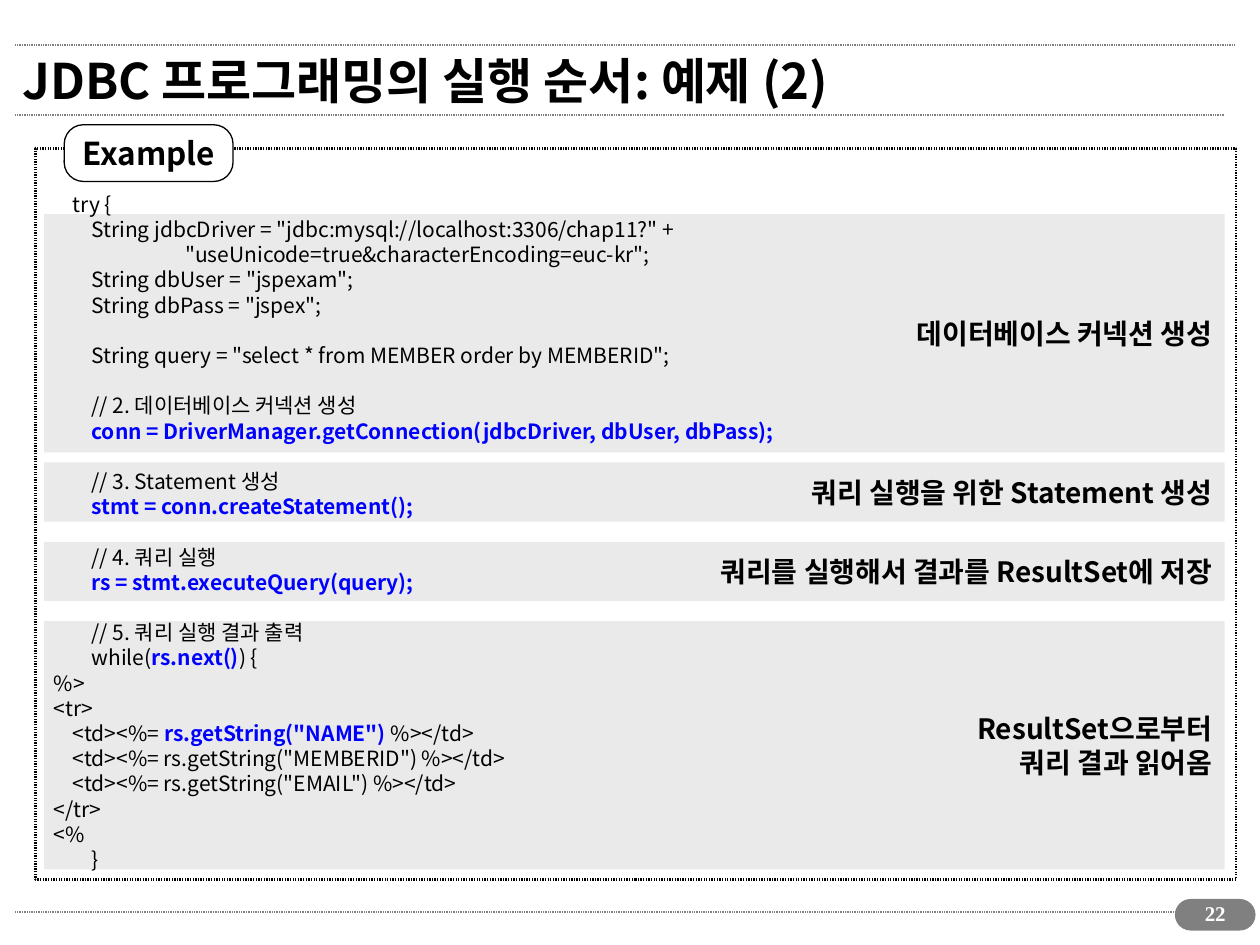
from dataclasses import dataclass

from lxml import etree
from pptx import Presentation
from pptx.dml.color import RGBColor
from pptx.enum.shapes import MSO_CONNECTOR, MSO_SHAPE
from pptx.enum.text import MSO_ANCHOR, PP_ALIGN
from pptx.oxml.ns import qn
from pptx.util import Inches, Pt

STRAIGHT = MSO_CONNECTOR.STRAIGHT
RECTANGLE, ROUNDED = MSO_SHAPE.RECTANGLE, MSO_SHAPE.ROUNDED_RECTANGLE
TOP, MIDDLE = MSO_ANCHOR.TOP, MSO_ANCHOR.MIDDLE
LEFT, CENTER, RIGHT = PP_ALIGN.LEFT, PP_ALIGN.CENTER, PP_ALIGN.RIGHT

COLORS = {"text": "000000", "code": "0000FF", "band": "EAEAEA",
          "rule": "808080", "paper": "FFFFFF"}
SANS, SERIF = "Noto Sans CJK KR", "Times New Roman"
COLUMNS, ROWS, CELL = 100, 75, 0.1  # grid of 0.1 inch cells

# Bands behind the code: first row and height within the frame, and label
BANDS = [
    (5.2, 18.9, "데이터베이스 커넥션 생성"),
    (24.9, 4.7, "쿼리 실행을 위한 Statement 생성"),
    (31.2, 4.7, "쿼리를 실행해서 결과를 ResultSet에 저장"),
    (37.5, 19.7, "ResultSet으로부터\n쿼리 결과 읽어옴"),
]

# Key calls stand between « and »
CODE = """\
    try {
        String jdbcDriver = "jdbc:mysql://localhost:3306/chap11?" +
                            "useUnicode=true&characterEncoding=euc-kr";
        String dbUser = "jspexam";
        String dbPass = "jspex";
        
        String query = "select * from MEMBER order by MEMBERID";
        
        // 2. 데이터베이스 커넥션 생성
        «conn = DriverManager.getConnection(jdbcDriver, dbUser, dbPass);»
        
        // 3. Statement 생성
        «stmt = conn.createStatement();»
        
        // 4. 쿼리 실행
        «rs = stmt.executeQuery(query);»
        
        // 5. 쿼리 실행 결과 출력
        while(«rs.next()») {
%>
<tr>
    <td><%= «rs.getString("NAME")» %></td>
    <td><%= rs.getString("MEMBERID") %></td>
    <td><%= rs.getString("EMAIL") %></td>
</tr>
<%
        }"""


@dataclass
class Box:
    """An area of the grid, in columns and rows."""
    left: float
    top: float
    width: float
    height: float

    def inside(self, left, top, width, height):
        return Box(self.left + left, self.top + top, width, height)

    def lengths(self):
        return [Inches(cells * CELL)
                for cells in (self.left, self.top, self.width, self.height)]


def color(name):
    return RGBColor.from_string(COLORS[name])


def set_fine_dots(shape):
    """Dots and gaps of half the line width."""
    outline = shape._element.spPr.find(qn("a:ln"))
    dashes = etree.SubElement(outline, qn("a:custDash"))
    etree.SubElement(dashes, qn("a:ds"), d="50000", sp="50000")


def add_rule(slide, box):
    left, top, width, height = box.lengths()
    rule = slide.shapes.add_connector(STRAIGHT, left, top, left + width, top + height)
    rule.line.color.rgb = color("rule")
    rule.line.width = Pt(1)
    set_fine_dots(rule)
    etree.SubElement(rule._element.spPr, qn("a:effectLst"))


def add_panel(slide, box, kind=RECTANGLE, fill=None, line=None, width=0.75):
    shape = slide.shapes.add_shape(kind, *box.lengths())
    shape.shadow.inherit = False
    if fill:
        shape.fill.solid()
        shape.fill.fore_color.rgb = color(fill)
    else:
        shape.fill.background()
    if line:
        shape.line.color.rgb = color(line)
        shape.line.width = Pt(width)
    else:
        shape.line.fill.background()
    return shape


def write(shape, text, size, bold=True, align=LEFT, anchor=MIDDLE,
          wrap=True, ink="text", typeface=SANS):
    frame = shape.text_frame
    frame.word_wrap = wrap
    frame.vertical_anchor = anchor
    for index, line in enumerate(text.split("\n")):
        paragraph = frame.add_paragraph() if index else frame.paragraphs[0]
        paragraph.alignment = align
        font = paragraph.font
        font.name, font.size, font.bold = typeface, Pt(size), bold
        font.color.rgb = color(ink)
        defaults = paragraph._p.get_or_add_pPr().get_or_add_defRPr()
        etree.SubElement(defaults, qn("a:ea"), typeface=typeface)
        # Odd parts are the marked calls
        for part, words in enumerate(line.replace("»", "«").split("«")):
            if words:
                run = paragraph.add_run()
                run.text = words
                if part % 2:
                    run.font.bold = True
                    run.font.color.rgb = color("code")


def add_header(slide, box):
    add_rule(slide, box.inside(0, 0, 96.8, 0))
    add_rule(slide, box.inside(0, box.height, 96, 0))
    title = slide.shapes.add_textbox(*box.inside(-0.4, -0.8, 91, 7.1).lengths())
    write(title, "JDBC 프로그래밍의 실행 순서: 예제 (2)", 28)


def add_example(slide, box):
    # Labelled bands
    for top, height, label in BANDS:
        band = add_panel(slide, box.inside(0.7, top, 93.7, height), fill="band")
        write(band, label, 16, align=RIGHT, wrap=False)
    # Dotted frame and its tab
    frame = add_panel(slide, box, line="text", width=1.5)
    set_fine_dots(frame)
    tab = add_panel(slide, box.inside(2.3, -1.9, 13.4, 4.5), ROUNDED, "paper", "text")
    tab.adjustments[0] = 0.34
    write(tab, "Example", 18, align=CENTER, wrap=False)
    # Code
    code = slide.shapes.add_textbox(*box.inside(0.5, 2.9, 85.3, 55).lengths())
    write(code, CODE, 12, bold=False, anchor=TOP)


def add_footer(slide, box):
    add_rule(slide, box.inside(0, 1.4, 96.1, 0))
    badge = add_panel(slide, box.inside(92.1, 0.4, 6.3, 2.4), ROUNDED, "rule", "rule")
    badge.adjustments[0] = 0.5
    number = slide.shapes.add_textbox(*box.inside(92.5, 0, 5.5, 3.4).lengths())
    write(number, "22", 12, align=CENTER, anchor=TOP, ink="paper", typeface=SERIF)


def main():
    presentation = Presentation()
    presentation.slide_width = Inches(COLUMNS * CELL)
    presentation.slide_height = Inches(ROWS * CELL)
    slide = presentation.slides.add_slide(presentation.slide_layouts[6])
    add_footer(slide, Box(1.2, 71, 98.4, 3.4))
    add_header(slide, Box(1.2, 3.6, 96.8, 5.5))
    add_example(slide, Box(2.8, 11.8, 95.3, 58))
    presentation.save("out.pptx")


if __name__ == "__main__":
    main()
